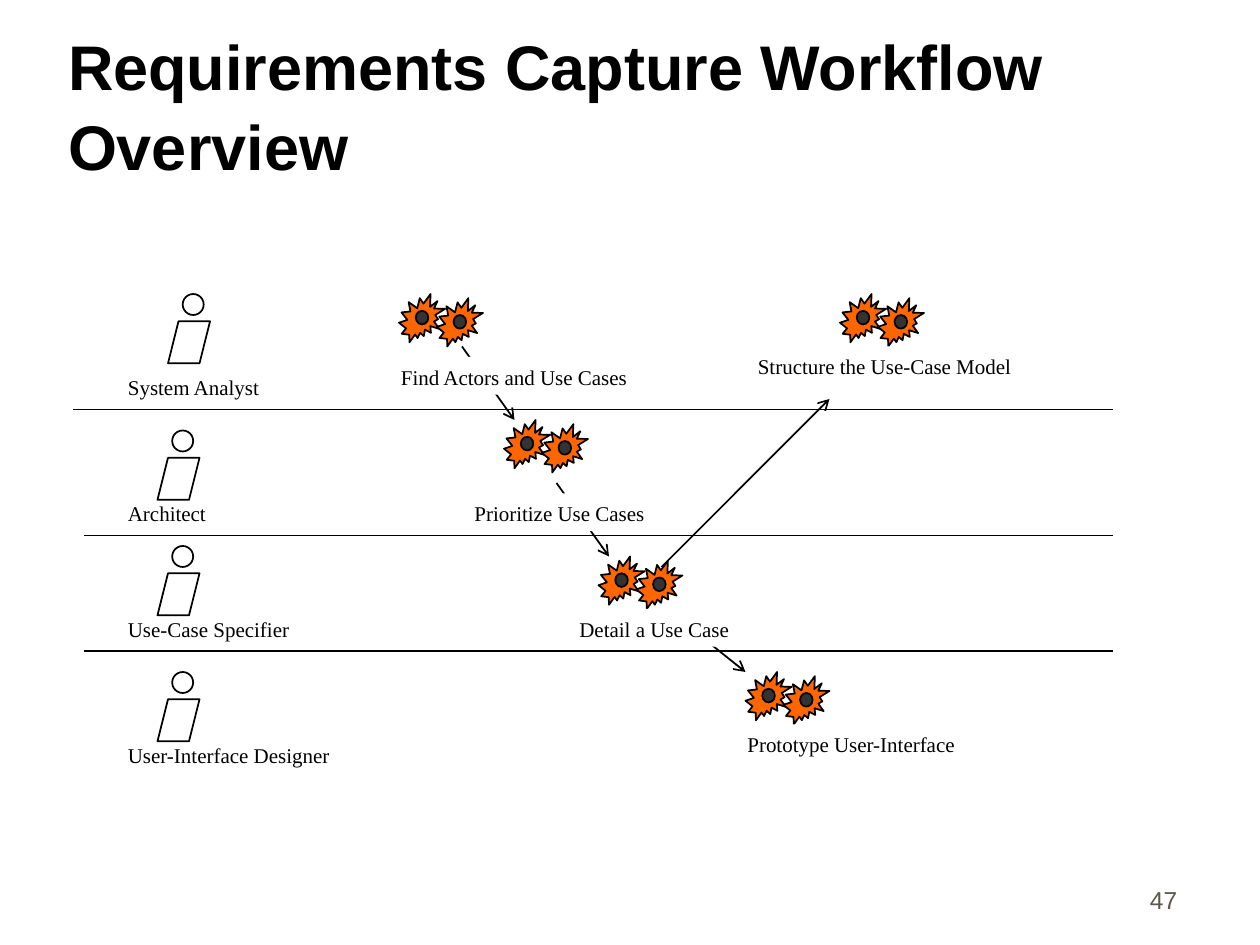
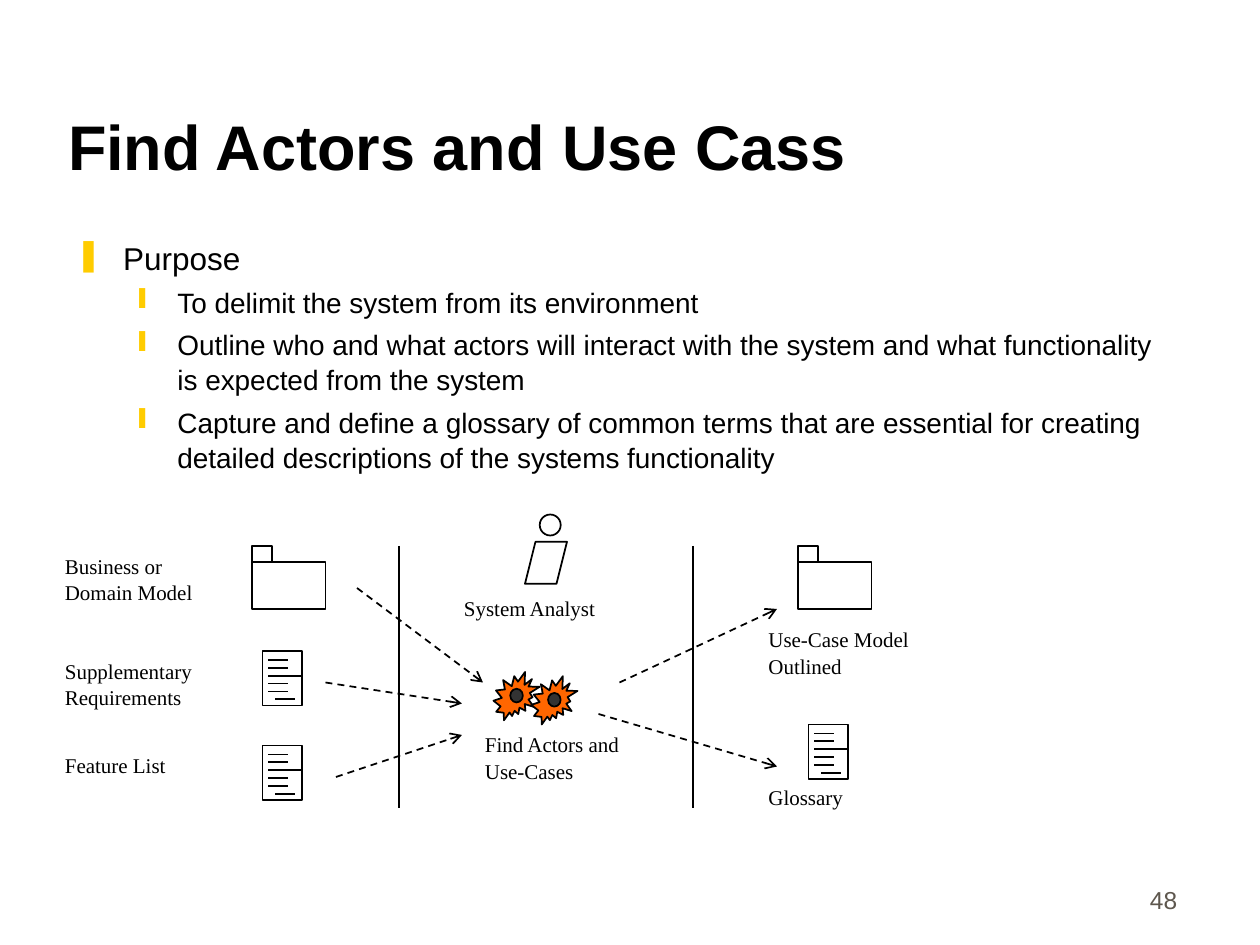
from typing import NamedTuple

from lxml import etree
from pptx import Presentation
from pptx.dml.color import RGBColor
from pptx.enum.dml import MSO_LINE
from pptx.enum.shapes import MSO_CONNECTOR, MSO_SHAPE
from pptx.enum.text import MSO_ANCHOR, PP_ALIGN
from pptx.oxml.ns import qn
from pptx.util import Inches, Pt

RECT = MSO_SHAPE.RECTANGLE
OVAL = MSO_SHAPE.OVAL
BURST = MSO_SHAPE.EXPLOSION2
SLANT = MSO_SHAPE.PARALLELOGRAM
STRAIGHT = MSO_CONNECTOR.STRAIGHT
DASH = MSO_LINE.DASH
TOP, BOTTOM = MSO_ANCHOR.TOP, MSO_ANCHOR.BOTTOM
LEFT, RIGHT = PP_ALIGN.LEFT, PP_ALIGN.RIGHT

COLS, ROWS = 120, 90
CELL = Inches(10) // COLS
BLACK, WHITE, GREY = "000000", "FFFFFF", "5E574E"
ORANGE, DARK, GOLD = "FF6600", "333333", "FFCC00"
SANS, SERIF = "Arial", "Times New Roman"
SPACING = 1.05


class Box(NamedTuple):
    col: float
    row: float
    wide: float
    high: float


class Link(NamedTuple):
    col: float
    row: float
    to_col: float
    to_row: float


class Label(NamedTuple):
    col: float
    row: float
    wide: float
    lines: tuple[str, ...]
    high: float = 3.6


class Level(NamedTuple):
    mark: str
    margin: float
    hang: float
    size: float
    before: float


class Item(NamedTuple):
    level: Level
    words: str


TITLE = Box(5.3, 3, 102, 15)
NUMBER = Box(88.3, 81.7, 25, 6)
BODY = Box(6, 22, 107.3, 54.7)
MAIN = Level("❚", 0.38, 0.38, 18, 0)
SUB = Level("❙", 0.81, 0.31, 16, 4)

GEARS = ((80, 28), (38, 28), (48, 40), (57, 53), (71, 64))
FLOW = (
    Link(44, 33, 49, 40),
    Link(53, 46, 58, 53),
    Link(66, 60, 71, 64),
    Link(63, 54, 79, 38),
)
STEPS = (
    Label(37, 34, 26, ("Find Actors and Use Cases",)),
    Label(44, 47, 20, ("Prioritize Use Cases",)),
    Label(71, 33, 31, ("Structure the Use-Case Model",)),
    Label(54, 58, 23, ("Detail a Use Case",)),
    Label(70, 69, 23, ("Prototype User-Interface",)),
)
LANES = (Link(7, 39, 106, 39), Link(8, 51, 106, 51), Link(8, 62, 106, 62))
ROLES = (
    Label(11, 35, 26, ("System Analyst",)),
    Label(11, 47, 26, ("Architect",)),
    Label(11, 58, 26, ("Use-Case Specifier",)),
    Label(11, 70, 26, ("User-Interface Designer",)),
)
ACTORS = ((16, 28), (15, 41), (15, 52), (15, 64))

ITEMS = (
    Item(MAIN, "Purpose"),
    Item(SUB, "To delimit the system from its environment"),
    Item(SUB, "Outline who and what actors will interact with the system "
              "and what functionality is expected from the system"),
    Item(SUB, "Capture and define a glossary of common terms that are essential "
              "for creating detailed descriptions of the systems functionality"),
)
FOLDERS = ((24, 52), (76, 52))
PAGES = ((25, 71), (25, 62), (77, 69))
WALLS = (Link(38, 52, 38, 77), Link(66, 52, 66, 77))
NOTES = (
    Label(5, 52, 16, ("Business or Domain Model",), 6),
    Label(5, 62, 16, ("Supplementary", "Requirements"), 6),
    Label(5, 71, 16, ("Feature List",)),
    Label(45, 69, 16, ("Find Actors and Use-Cases",), 6),
    Label(43, 56, 16, ("System Analyst",)),
    Label(72, 59, 16, ("Use-Case Model Outlined",), 6),
    Label(72, 74, 16, ("Glossary",)),
)
INPUTS = (
    Link(34, 56, 46, 65),
    Link(31, 65, 44, 67),
    Link(32, 74, 44, 70),
    Link(59, 65, 74, 58),
    Link(57, 68, 74, 73),
)


def color(code: str) -> RGBColor:
    return RGBColor.from_string(code)


def scale(spot: tuple) -> list[int]:
    return [round(part * CELL) for part in spot]


def bullet(para, level: Level) -> None:
    props = para._p.get_or_add_pPr()
    props.set("marL", str(Inches(level.margin)))
    props.set("indent", str(-Inches(level.hang)))
    tint = etree.SubElement(props, qn("a:buClr"))
    etree.SubElement(tint, qn("a:srgbClr"), val=GOLD)
    etree.SubElement(props, qn("a:buChar"), char=level.mark)


def text(slide, box: Box, lines: tuple, *, size: float = 12, font: str = SERIF,
         ink: str = BLACK, bold: bool = False, align=LEFT, anchor=TOP,
         fill: str | None = None) -> None:
    shape = slide.shapes.add_textbox(*scale(box))
    if fill:
        shape.fill.solid()
        shape.fill.fore_color.rgb = color(fill)
    frame = shape.text_frame
    frame.word_wrap = True
    frame.vertical_anchor = anchor
    for index, line in enumerate(lines):
        para = frame.paragraphs[0] if index == 0 else frame.add_paragraph()
        para.alignment = align
        para.line_spacing = SPACING
        words, points = line, size
        if isinstance(line, Item):
            words, points = line.words, line.level.size
            bullet(para, line.level)
            para.space_before = Pt(line.level.before)
        run = para.add_run()
        run.text = words
        run.font.size = Pt(points)
        run.font.name = font
        run.font.bold = bold
        run.font.color.rgb = color(ink)


def form(slide, kind, box: Box, fill: str | None = None) -> None:
    shape = slide.shapes.add_shape(kind, *scale(box))
    shape.shadow.inherit = False
    shape.line.color.rgb = color(BLACK)
    shape.line.width = Pt(1)
    if fill:
        shape.fill.solid()
        shape.fill.fore_color.rgb = color(fill)
    else:
        shape.fill.background()


def draw(slide, link: Link, arrow: bool = False, dash: bool = False) -> None:
    wire = slide.shapes.add_connector(STRAIGHT, *scale(link))
    wire.line.color.rgb = color(BLACK)
    wire.line.width = Pt(1)
    if dash:
        wire.line.dash_style = DASH
    if arrow:
        etree.SubElement(wire.line._get_or_add_ln(), qn("a:tailEnd"), type="arrow")
    etree.SubElement(wire._element.spPr, qn("a:effectLst"))


def gears(slide, col: float, row: float) -> None:
    for right, down in ((0, 0), (3.6, 0.4)):
        x, y = col + right, row + down
        form(slide, BURST, Box(x, y, 4.4, 4.6), ORANGE)
        form(slide, OVAL, Box(x + 1.6, y + 1.6, 1.2, 1.3), DARK)


def actor(slide, col: float, row: float) -> None:
    form(slide, SLANT, Box(col, row + 2.6, 4, 4))
    form(slide, OVAL, Box(col + 1.4, row, 2, 2))


def folder(slide, col: float, row: float) -> None:
    form(slide, RECT, Box(col, row + 1.5, 7, 4.5))
    form(slide, RECT, Box(col, row, 1.9, 1.5))


def page(slide, col: float, row: float) -> None:
    form(slide, RECT, Box(col, row, 3.8, 5.2))
    rules = [(0.55, step) for step in range(5)] + [(1.8, 2), (1.2, 5)]
    for right, step in rules:
        x, y = col + right, row + 0.85 + 0.75 * step
        draw(slide, Link(x, y, x + 1.9, y))


def label(slide, tag: Label, fill: str | None = None) -> None:
    text(slide, Box(tag.col, tag.row, tag.wide, tag.high), tag.lines, fill=fill)


def start(deck, title: str, number: int):
    slide = deck.slides.add_slide(deck.slide_layouts[6])
    text(slide, NUMBER, (str(number),), size=14, font=SANS, ink=GREY,
         align=RIGHT, anchor=BOTTOM)
    text(slide, TITLE, (title,), size=36, font=SANS, bold=True, anchor=BOTTOM)
    return slide


def lanes(deck) -> None:
    slide = start(deck, "Requirements Capture Workflow Overview", 47)
    for spot in GEARS:
        gears(slide, *spot)
    for link in FLOW:
        draw(slide, link, arrow=True)
    for tag in STEPS:
        label(slide, tag, WHITE)
    for link in LANES:
        draw(slide, link)
    for tag in ROLES:
        label(slide, tag, WHITE)
    for spot in ACTORS:
        actor(slide, *spot)


def purpose(deck) -> None:
    slide = start(deck, "Find Actors and Use Cass", 48)
    text(slide, BODY, ITEMS, font=SANS)
    for spot in FOLDERS:
        folder(slide, *spot)
    for spot in PAGES:
        page(slide, *spot)
    gears(slide, 47, 64)
    actor(slide, 50, 49)
    for link in WALLS:
        draw(slide, link)
    for tag in NOTES:
        label(slide, tag)
    for link in INPUTS:
        draw(slide, link, arrow=True, dash=True)


def main() -> None:
    deck = Presentation()
    deck.slide_width, deck.slide_height = COLS * CELL, ROWS * CELL
    lanes(deck)
    purpose(deck)
    deck.save("out.pptx")


if __name__ == "__main__":
    main()
